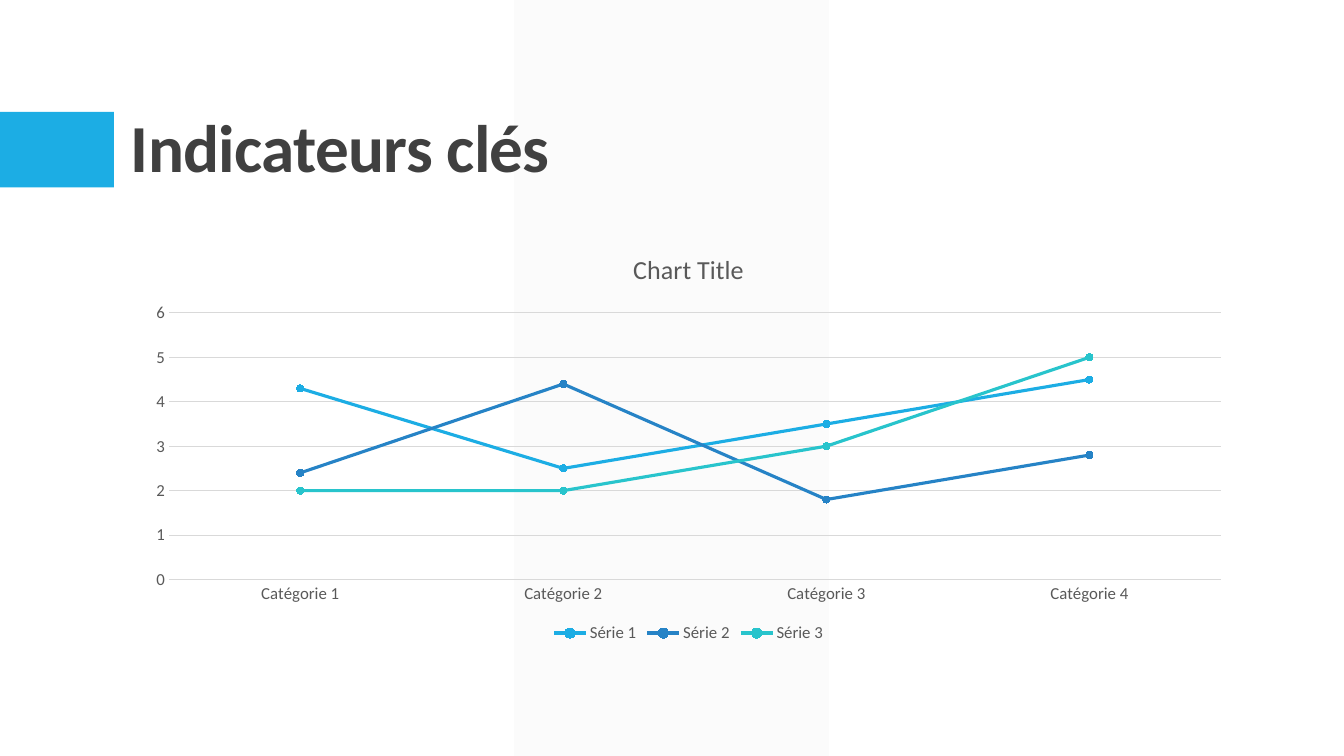
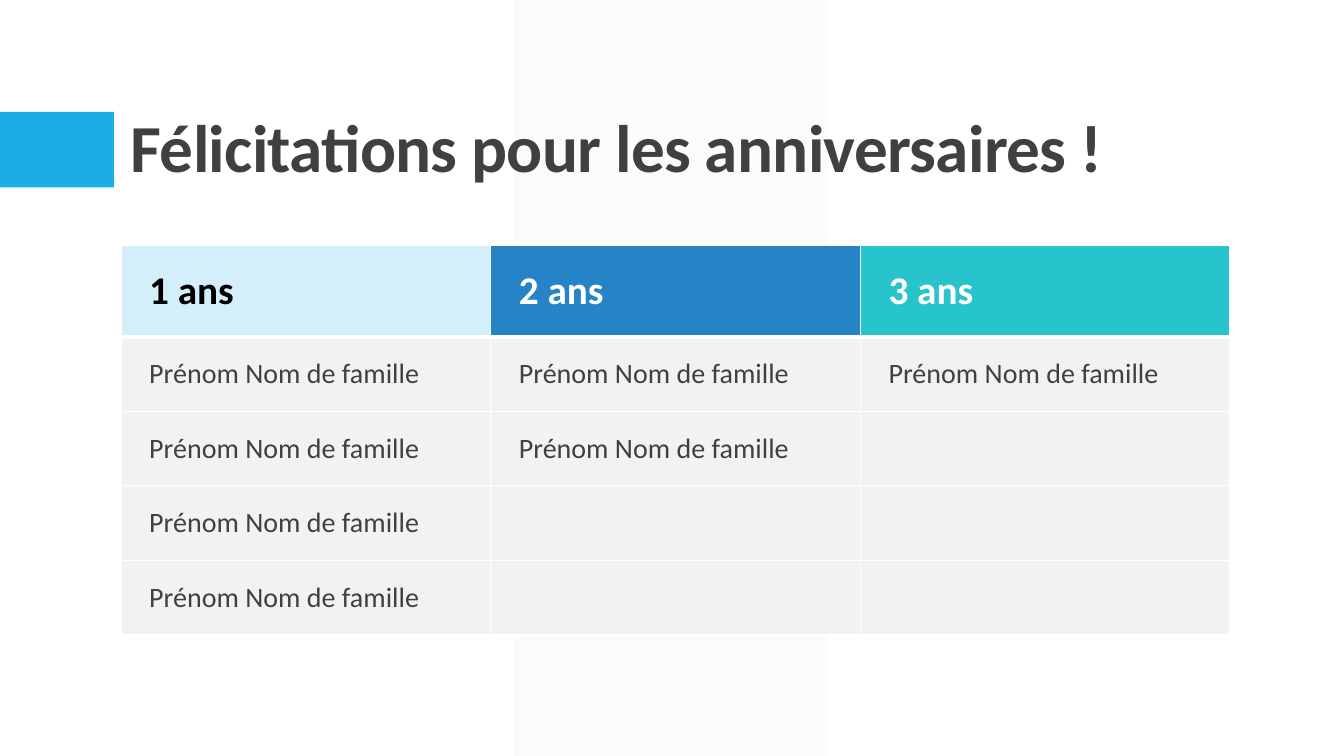
from collections import namedtuple

from lxml import etree
from pptx import Presentation
from pptx.chart.data import CategoryChartData
from pptx.dml.color import RGBColor
from pptx.enum.chart import XL_CHART_TYPE, XL_LEGEND_POSITION, XL_MARKER_STYLE, XL_TICK_MARK
from pptx.enum.shapes import MSO_SHAPE
from pptx.enum.text import MSO_ANCHOR
from pptx.oxml.ns import qn
from pptx.util import Inches, Pt

PARALLELOGRAM = MSO_SHAPE.PARALLELOGRAM
RECTANGLE = MSO_SHAPE.RECTANGLE
LINE_MARKERS = XL_CHART_TYPE.LINE_MARKERS
LEGEND_BOTTOM = XL_LEGEND_POSITION.BOTTOM
CIRCLE = XL_MARKER_STYLE.CIRCLE
NO_TICK = XL_TICK_MARK.NONE
MIDDLE = MSO_ANCHOR.MIDDLE
BOTTOM = MSO_ANCHOR.BOTTOM

SKY = RGBColor(0x1C, 0xAD, 0xE4)
BLUE = RGBColor(0x26, 0x83, 0xC6)
TEAL = RGBColor(0x28, 0xC4, 0xCC)
PALE_SKY = RGBColor(0xD2, 0xEF, 0xFA)
LIGHT_GRAY = RGBColor(0xF2, 0xF2, 0xF2)
GRID_GRAY = RGBColor(0xD9, 0xD9, 0xD9)
LABEL_GRAY = RGBColor(0x59, 0x59, 0x59)
DARK_GRAY = RGBColor(0x40, 0x40, 0x40)
BLACK = RGBColor(0, 0, 0)
WHITE = RGBColor(0xFF, 0xFF, 0xFF)

FONT = "Calibri"
TITLE_FORMAT = {"name": FONT, "size": Pt(48), "bold": True}
HEADER_FORMAT = {"name": FONT, "size": Pt(28), "bold": True}
BODY_FORMAT = {"name": FONT, "size": Pt(20), "bold": False}
LABEL_FORMAT = {"name": FONT, "size": Pt(12), "bold": False}
CHART_TITLE_FORMAT = {"name": FONT, "size": Pt(18.6), "bold": False}
CELL_FORMAT = {
    "vertical_anchor": MIDDLE,
    "margin_left": Inches(0.28),
    "margin_right": Inches(0.28),
    "margin_top": Inches(0.08),
    "margin_bottom": Inches(0.08),
}

Box = namedtuple("Box", "left top width height")
PAGE = Box(0, 0, Inches(13.33), Inches(7.5))
BAND_BOX = Box(Inches(5.1), 0, Inches(3.12), PAGE.height)
ACCENT_BOX = Box(0, Inches(1.11), Inches(1.13), Inches(0.75))
TITLE_BOX = Box(Inches(1.2), Inches(0.31), Inches(11), Inches(1.59))
CHART_BOX = Box(Inches(1.33), Inches(2.31), Inches(11), Inches(4.11))
TABLE_BOX = Box(Inches(1.2), Inches(2.43), Inches(11), Inches(3.87))
HEADER_HEIGHT = Inches(0.91)

CATEGORIES = [f"Catégorie {number}" for number in range(1, 5)]
SERIES = [
    ("Série 1", (4.3, 2.5, 3.5, 4.5), SKY),
    ("Série 2", (2.4, 4.4, 1.8, 2.8), BLUE),
    ("Série 3", (2, 2, 3, 5), TEAL),
]
PERSON = "Prénom Nom de famille"
BODY_ROWS = 4
ANNIVERSARIES = [
    ("1 ans", PALE_SKY, BLACK, 4),
    ("2 ans", BLUE, WHITE, 2),
    ("3 ans", TEAL, WHITE, 1),
]


def apply_format(target, values):
    """Set every attribute named in a format dict."""
    for name, value in values.items():
        setattr(target, name, value)


def style_font(font, values, color):
    """Give a font its format values and colour."""
    apply_format(font, values)
    font.color.rgb = color


def add_filled(page, shape_type, box, color):
    """Add a flat shape without outline and return it."""
    shape = page.shapes.add_shape(shape_type, *box)
    shape.shadow.inherit = False
    shape.fill.solid()
    shape.fill.fore_color.rgb = color
    shape.line.fill.background()
    return shape


def add_backdrop(page):
    """Draw the translucent vertical band and the accent block."""
    band = add_filled(page, PARALLELOGRAM, BAND_BOX, LIGHT_GRAY)
    band.adjustments[0] = 0
    color = band.fill._xPr.find(".//" + qn("a:srgbClr"))
    etree.SubElement(color, qn("a:alpha"), val="30000")
    add_filled(page, RECTANGLE, ACCENT_BOX, SKY)


def add_title(page, box, text):
    """Write the slide title at the bottom of its box."""
    frame = page.shapes.add_textbox(*box).text_frame
    apply_format(frame, {"word_wrap": True, "vertical_anchor": BOTTOM})
    para = frame.paragraphs[0]
    para.line_spacing = 0.9
    span = para.add_run()
    span.text = text
    style_font(span.font, TITLE_FORMAT, DARK_GRAY)
    span.font._element.set("spc", "-50")


def style_line(line, color, width):
    """Give a line its colour and width in points."""
    line.color.rgb = color
    line.width = Pt(width)


def style_axes(chart):
    """Style the labels, the base line and the gridlines."""
    for axis in (chart.category_axis, chart.value_axis):
        apply_format(axis, {"major_tick_mark": NO_TICK, "minor_tick_mark": NO_TICK})
        style_font(axis.tick_labels.font, LABEL_FORMAT, LABEL_GRAY)
    style_line(chart.category_axis.format.line, GRID_GRAY, 0.75)
    chart.value_axis.format.line.fill.background()
    chart.value_axis.has_major_gridlines = True
    style_line(chart.value_axis.major_gridlines.format.line, GRID_GRAY, 0.75)


def style_series(series, color):
    """Draw a series as straight lines with round markers."""
    series.smooth = False
    style_line(series.format.line, color, 2.25)
    marker = series.marker
    apply_format(marker, {"style": CIRCLE, "size": 5})
    marker.format.fill.solid()
    marker.format.fill.fore_color.rgb = color
    style_line(marker.format.line, color, 0.75)


def add_indicator_chart(page, box):
    """Add the line chart with its title and legend."""
    data = CategoryChartData()
    data.categories = CATEGORIES
    for name, values, _ in SERIES:
        data.add_series(name, values)
    chart = page.shapes.add_chart(LINE_MARKERS, *box, data).chart
    style_font(chart.font, {"name": FONT, "size": Pt(10)}, BLACK)
    chart.has_title = True
    span = chart.chart_title.text_frame.paragraphs[0].add_run()
    span.text = "Chart Title"
    style_font(span.font, CHART_TITLE_FORMAT, LABEL_GRAY)
    chart.chart_title.include_in_layout = False
    chart.has_legend = True
    apply_format(chart.legend, {"position": LEGEND_BOTTOM, "include_in_layout": False})
    style_font(chart.legend.font, LABEL_FORMAT, LABEL_GRAY)
    style_axes(chart)
    plot = chart.plots[0]
    plot.vary_by_categories = False
    for series, (_, _, color) in zip(plot.series, SERIES):
        style_series(series, color)


def set_borders(cell, widths):
    """Draw white borders with a width in points for each side."""
    properties = cell._tc.get_or_add_tcPr()
    for side, width in widths.items():
        line = etree.SubElement(properties, qn(f"a:ln{side}"), w=str(Pt(width)))
        fill = etree.SubElement(line, qn("a:solidFill"))
        etree.SubElement(fill, qn("a:srgbClr"), val=str(WHITE))


def fill_cell(cell, text, values, text_color, fill_color):
    """Set the text, margins and fill of a table cell."""
    apply_format(cell, CELL_FORMAT)
    cell.fill.solid()
    cell.fill.fore_color.rgb = fill_color
    para = cell.text_frame.paragraphs[0]
    style_font(para.font, values, text_color)
    if text:
        span = para.add_run()
        span.text = text
        style_font(span.font, values, text_color)


def add_anniversary_table(page, box):
    """Add one column of names for each number of years."""
    table = page.shapes.add_table(BODY_ROWS + 1, len(ANNIVERSARIES), *box).table
    table.horz_banding = False
    for row in table.rows:
        row.height = (box.height - HEADER_HEIGHT) // BODY_ROWS
    table.rows[0].height = HEADER_HEIGHT
    for column, (heading, fill_color, text_color, people) in enumerate(ANNIVERSARIES):
        table.columns[column].width = box.width // len(ANNIVERSARIES)
        for row in range(BODY_ROWS + 1):
            cell = table.cell(row, column)
            top, bottom = (3 if row == 1 else 1), (3 if row == 0 else 1)
            set_borders(cell, {"L": 1, "R": 1, "T": top, "B": bottom})
            if row == 0:
                fill_cell(cell, heading, HEADER_FORMAT, text_color, fill_color)
            else:
                name = PERSON if row <= people else ""
                fill_cell(cell, name, BODY_FORMAT, DARK_GRAY, LIGHT_GRAY)


def add_page(deck, title, add_content, box):
    """Add a slide with the shared backdrop, a title and its content."""
    page = deck.slides.add_slide(deck.slide_layouts[6])
    add_backdrop(page)
    add_title(page, TITLE_BOX, title)
    add_content(page, box)


def main():
    """Build and save the deck."""
    deck = Presentation()
    apply_format(deck, {"slide_width": PAGE.width, "slide_height": PAGE.height})
    add_page(deck, "Indicateurs clés", add_indicator_chart, CHART_BOX)
    add_page(deck, "Félicitations pour les anniversaires !", add_anniversary_table, TABLE_BOX)
    deck.save("out.pptx")


if __name__ == "__main__":
    main()
